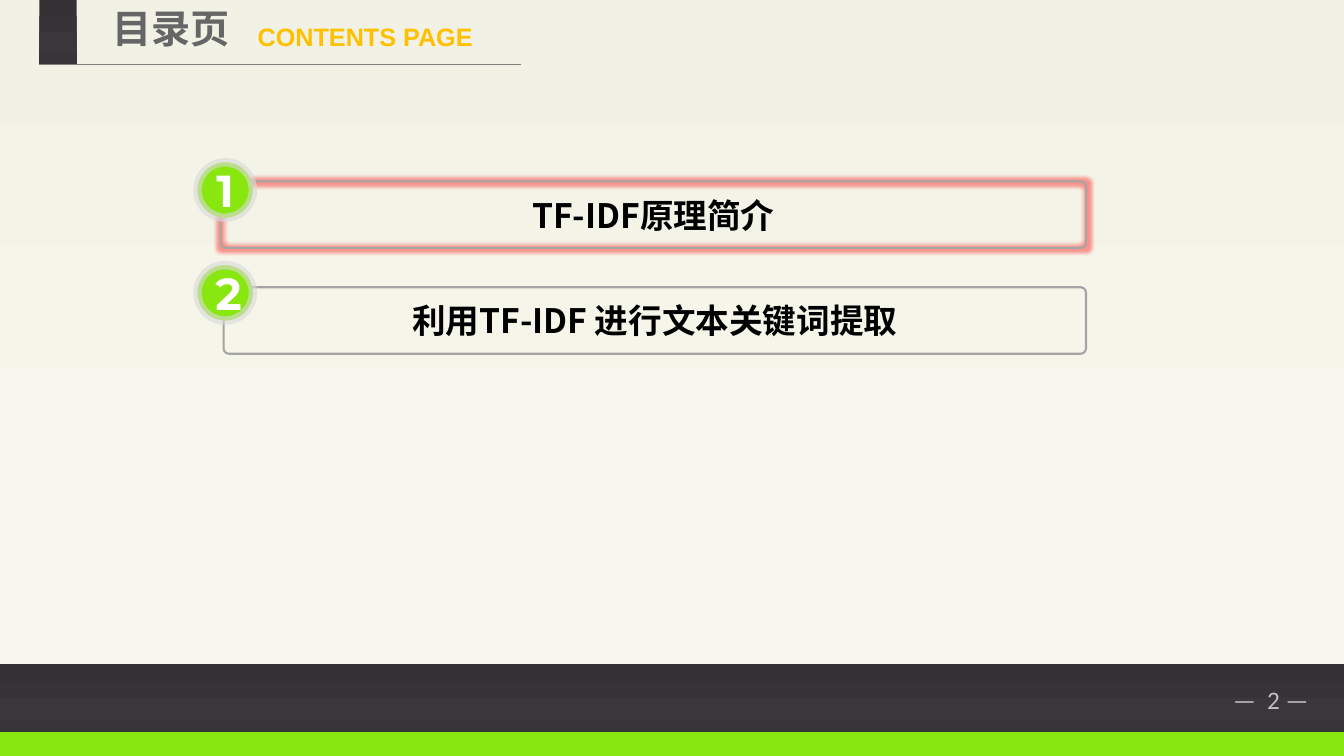
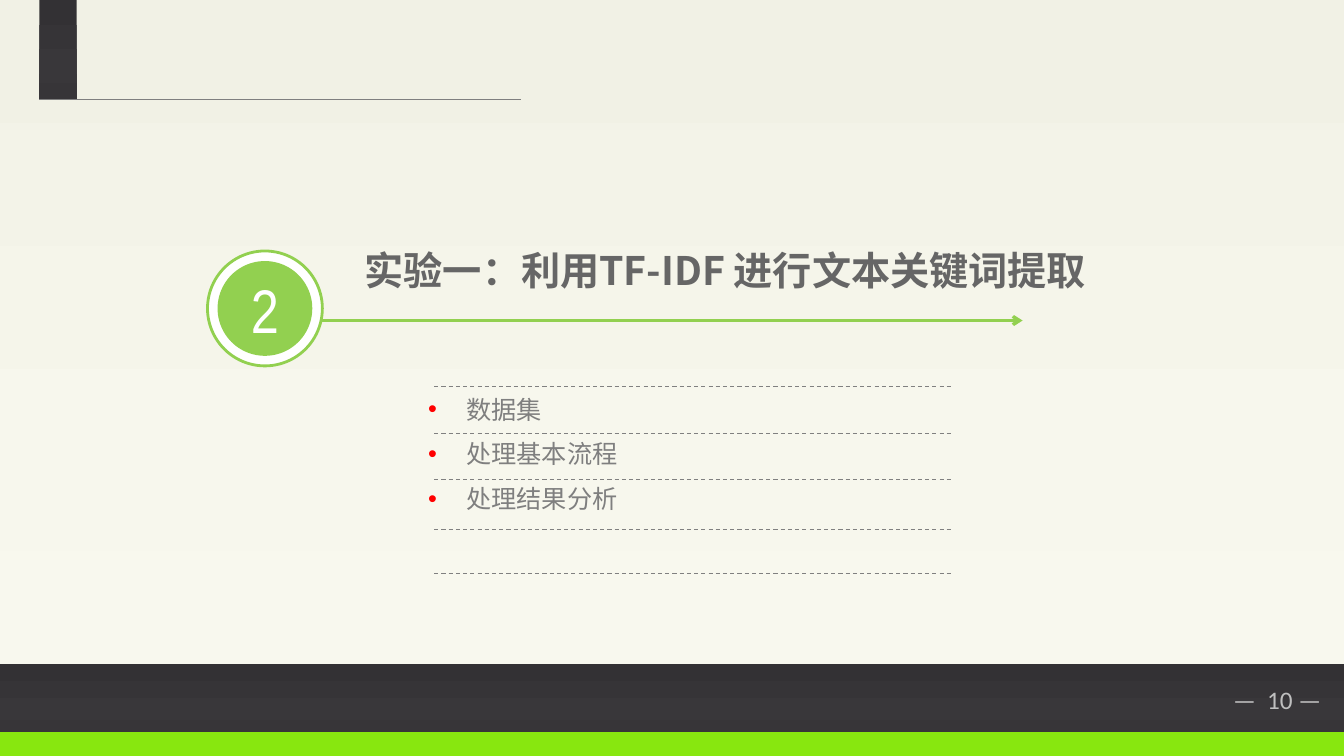
from pptx import Presentation
from pptx.dml.color import RGBColor
from pptx.enum.dml import MSO_LINE_DASH_STYLE as DASH
from pptx.enum.shapes import MSO_CONNECTOR, MSO_SHAPE as PRESET
from pptx.enum.text import MSO_ANCHOR as ANCHOR, PP_ALIGN as ALIGN
from pptx.oxml import parse_xml
from pptx.oxml.ns import nsdecls, qn
from pptx.util import Pt

PX = 9144  # 100 px to the inch
SLIDE_W, SLIDE_H = 1334, 750
PAPER_H, STRIPE_TOP = 659, 726

COLORS = {
    "lime": "88E70F", "green": "92D050", "white": "FFFFFF", "black": "000000",
    "title": "666666", "amber": "FFC000", "red": "FF0000",
    "rule": "7F7F7F", "dash": "808080", "frame": "A5A5A5",
    "ring": "D9D9D9", "page": "BFBFBF",
}
GRADIENTS = {
    "paper": {0: "F1F1E5", 74: "F7F7ED", 83: "F8F8EE", 100: "F9F9EF"},
    "dark": {0: "333134", 74: "39373A", 83: "373538", 100: "363436"},
}
CJK = "Noto Sans CJK SC"
FORMATS = {
    "title": ("title", {"name": CJK, "size": Pt(28), "bold": True}),
    "subtitle": ("amber", {"name": "Arial", "size": Pt(18), "bold": True}),
    "item": ("black", {"name": CJK, "size": Pt(24), "bold": True}),
    "badge": ("white", {"name": "Montserrat", "size": Pt(32), "bold": True}),
    "section": ("white", {"name": "Arial Narrow", "size": Pt(44), "bold": False}),
    "bullet": ("rule", {"name": CJK, "size": Pt(18), "bold": False}),
    "page": ("page", {"name": "Calibri", "size": Pt(18), "bold": False}),
}


def add_block(shapes, preset, box, fill=None, line=None, text=(), style=None,
              align=ALIGN.LEFT):
    """Add a preset shape, or a text box if preset is None; one paragraph per text."""
    box = [value * PX for value in box]
    if preset is None:
        block = shapes.add_textbox(*box)
    else:
        block = shapes.add_shape(preset, *box)
        block.shadow.inherit = False
        block.text_frame.vertical_anchor = ANCHOR.MIDDLE
        if fill in GRADIENTS:
            stops = "".join(
                f'<a:gs pos="{pos * 1000}"><a:srgbClr val="{color}"/></a:gs>'
                for pos, color in GRADIENTS[fill].items())
            block.element.spPr.find(qn("a:prstGeom")).addnext(parse_xml(
                f'<a:gradFill {nsdecls("a")} rotWithShape="1"><a:gsLst>{stops}</a:gsLst>'
                '<a:lin ang="5400000" scaled="0"/></a:gradFill>'))
        elif fill:
            block.fill.solid()
            block.fill.fore_color.rgb = RGBColor.from_string(COLORS[fill])
        else:
            block.fill.background()
        if line:
            color, width = line
            block.line.color.rgb = RGBColor.from_string(COLORS[color])
            block.line.width = Pt(width)
        else:
            block.line.fill.background()
    frame = block.text_frame
    frame.word_wrap = True
    for index, words in enumerate(text):
        paragraph = frame.add_paragraph() if index else frame.paragraphs[0]
        paragraph.alignment = align
        run = paragraph.add_run()
        run.text = words
        color, font_format = FORMATS[style]
        for name, value in font_format.items():
            setattr(run.font, name, value)
        run.font.color.rgb = RGBColor.from_string(COLORS[color])
        run.font._element.find(qn("a:latin")).addnext(parse_xml(
            f'<a:ea {nsdecls("a")} typeface="{font_format["name"]}"/>'))
    return block


def add_rule(shapes, left, right, y, color, width, dash=None):
    """Add a horizontal line."""
    rule = shapes.add_connector(
        MSO_CONNECTOR.STRAIGHT, left * PX, y * PX, right * PX, y * PX)
    line_format = {"width": Pt(width), "dash_style": dash}
    rule.line.color.rgb = RGBColor.from_string(COLORS[color])
    for name, value in line_format.items():
        setattr(rule.line, name, value)
    rule.element.spPr.append(parse_xml(f'<a:effectLst {nsdecls("a")}/>'))
    return rule


prs = Presentation()
prs.slide_width, prs.slide_height = SLIDE_W * PX, SLIDE_H * PX
layout = prs.slide_layouts[6]
for placeholder in list(layout.placeholders):
    placeholder.element.getparent().remove(placeholder.element)
contents, section = [prs.slides.add_slide(layout).shapes for _ in range(2)]

# Bands shared by every slide live on the layout
for top, bottom, fill in [(0, PAPER_H, "paper"), (STRIPE_TOP, SLIDE_H, "lime"),
                          (PAPER_H, STRIPE_TOP, "dark")]:
    band = add_block(contents, PRESET.RECTANGLE, (0, top, SLIDE_W, bottom - top), fill)
    layout.shapes.element.append(band.element)

# Page number, corner tab and title rule
for shapes, page, tab_height in [(contents, 2, 64), (section, 10, 99)]:
    add_block(shapes, None, (1214, 674, 119, 40), text=[f"—  {page} —"], style="page")
    add_block(shapes, PRESET.RECTANGLE, (39, 0, 37, tab_height), "dark")
    add_rule(shapes, 39, 517, tab_height, "rule", 0.75)

# Contents slide
add_block(contents, None, (102, -1, 159, 57), text=["目录页"], style="title")
add_block(contents, None, (246, 16, 268, 40), text=["CONTENTS PAGE"], style="subtitle")

ITEM_RIGHT = 1078
items = [
    ("TF-IDF原理简介", 219, 180, 161, True),
    ("利用TF-IDF 进行文本关键词提取", 222, 285, 263, False),
]
for number, (topic, left, top, badge_top, current) in enumerate(items, 1):
    entry = contents.add_group_shape().shapes
    frame = add_block(entry, PRESET.ROUNDED_RECTANGLE, (left, top, ITEM_RIGHT - left, 66),
                      line=("frame", 1.5), text=[topic], style="item", align=ALIGN.CENTER)
    frame.adjustments[0] = 0.08
    if current:
        frame.element.spPr.find(qn("a:effectLst")).append(parse_xml(
            f'<a:glow {nsdecls("a")} rad="63500"><a:srgbClr val="{COLORS["red"]}">'
            '<a:alpha val="40000"/></a:srgbClr></a:glow>'))
    badge = add_block(entry, PRESET.OVAL, (196, badge_top, 55, 55), "lime", ("ring", 6),
                      [str(number)], "badge", ALIGN.CENTER)
    ring_color = badge.element.spPr.find(qn("a:ln")).find(".//" + qn("a:srgbClr"))
    ring_color.append(parse_xml(f'<a:alpha {nsdecls("a")} val="62000"/>'))

# Section slide
add_block(section, PRESET.OVAL, (206, 249, 114, 114), "white", ("green", 2))
add_block(section, PRESET.OVAL, (216, 259, 94, 94), "green", text=["2"],
          style="section", align=ALIGN.CENTER)
arrow = add_rule(section, 320, 1015, 318, "green", 2.25)
arrow.element.spPr.find(qn("a:ln")).append(
    parse_xml(f'<a:tailEnd {nsdecls("a")} type="arrow"/>'))
add_block(section, None, (332, 239, 776, 57), text=["实验一：利用TF-IDF 进行文本关键词提取"],
          style="title", align=ALIGN.CENTER)

steps = add_block(section, None, (415, 380, 529, 190),
                  text=["数据集", "处理基本流程", "处理结果分析"], style="bullet")
for paragraph in steps.text_frame.paragraphs:
    paragraph.line_spacing = 1.2
    paragraph.space_before = Pt(6)
    properties = paragraph._p.get_or_add_pPr()
    properties.set("marL", str(38 * PX))
    properties.set("indent", str(-38 * PX))
    for bullet in (f'<a:buClr {nsdecls("a")}><a:srgbClr val="{COLORS["red"]}"/></a:buClr>',
                   f'<a:buFont {nsdecls("a")} typeface="Arial"/>',
                   f'<a:buChar {nsdecls("a")} char="•"/>'):
        properties.append(parse_xml(bullet))
for y in (383, 430, 476, 525, 569):
    add_rule(section, 431, 944, y, "dash", 0.75, DASH.DASH)

prs.save("out.pptx")
